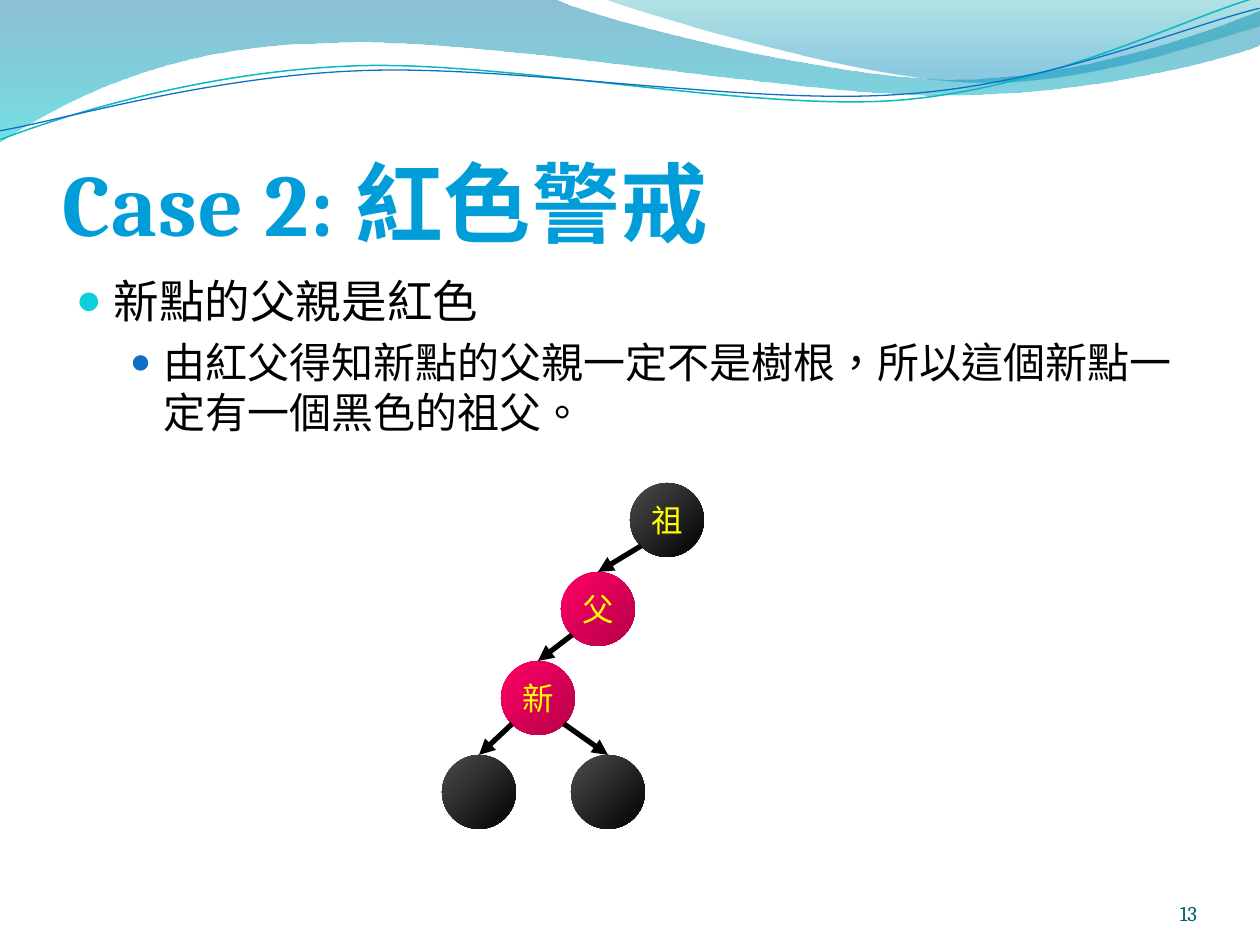
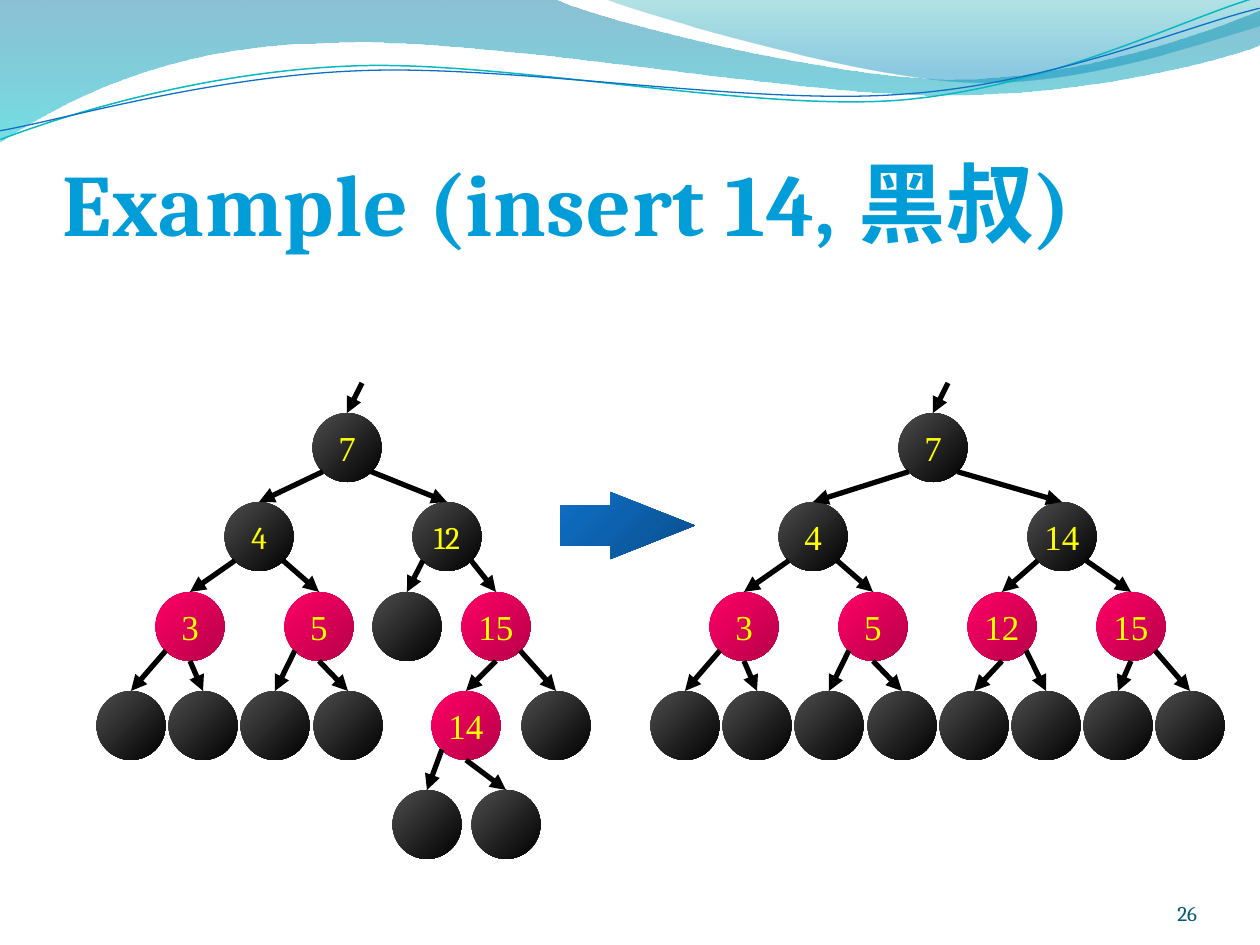
import lxml.etree
import pptx
import pptx.dml.color
import pptx.enum.shapes
import pptx.enum.text
import pptx.oxml.ns
import pptx.util

PX = 914400 / 126
SHAPES = pptx.enum.shapes.MSO_SHAPE
ALIGN = pptx.enum.text.PP_ALIGN
ANCHOR = pptx.enum.text.MSO_ANCHOR

# Shared look: gradients are two (position %, colour, colour changes in %) stops
HEAD_FONT, NODE_FONT = "Cambria", "Times New Roman"
DARKER = {"shade": 46.28}
BLACK_BALL = [(0, "4D4D4D", {}), (100, "000000", {})]
RED_BALL = [(0, "FF0066", {}), (100, "FF0066", DARKER)]
BLUE_ARROW = [(0, "0F6FC6", {}), (100, "0F6FC6", DARKER)]
TITLE_FILL = [(25, "009DD9", {}), (100, "006F99", {})]
TITLE = dict(name=HEAD_FONT, size=50, bold=True)
NUMBER = dict(name=HEAD_FONT, size=12, color="045D75")

# Waves: start point, then lines (2 numbers) or cubic curves (6 numbers)
BANDS = [
    ((0, 0), [(554, -1), (600, 21, 837, 79, 955, 79), (1075, 79, 1207, 33, 1260, 11),
              (1261, 45), (1239, 55, 1096, 96, 940, 95), (784, 95, 481, 35, 324, 43),
              (163, 45, 58, 105, -1, 142)],
     [(0, "0074A1", {"alpha": 45}), (100, "00C6CF", {"alpha": 55})]),
    ((604, -1), [(641, 14, 859, 78, 969, 82), (1079, 87, 1211, 40, 1260, 26), (1260, 0)],
     [(0, "00A1A9", {"alpha": 30}), (80, "008BBF", {"alpha": 45})]),
]
RIBBON_TURN = 357.3
RIBBONS = [
    ((-2, 110), [(58, 90, 199, 52, 350, 53), (499, 53, 745, 117, 896, 113),
                 (1049, 108, 1184, 45, 1260, 27)], "0AB8BF", 0.85),
    ((-2, 101), [(57, 94, 207, 57, 357, 58), (509, 58, 750, 112, 902, 107),
                 (1052, 104, 1188, 52, 1262, 38)], "0F6FC6", 0.75),
]

# Body lines: text, size, left margin, hanging indent, bullet colour, bullet size %, space before
CASE_LINES = [
    ("新點的父親是紅色", 26, 38, 38, "0BD0D9", 95, 0),
    ("由紅父得知新點的父親一定不是樹根，所以這個新點一定有一個黑色的祖父。",
     24, 88, 34, "0F6FC6", 85, 5),
]

# Tree nodes: label, centre x, row, parent index, side of the parent the arrow leaves
# (left, right or bottom), then a font where it differs
SMALL = dict(name=HEAD_FONT, size=18)
LEAF_PARENTS = [(3, "left"), (3, "bottom"), (4, "left"), (4, "bottom")]


def leaves(first_x, parents):
    return [("", first_x + round(72.2 * i), 3, *parent) for i, parent in enumerate(parents)]


CASE_TREE = dict(
    diameter=74, tops=[483, 572, 661, 755], red={"父", "新"}, size=18, entry=False,
    nodes=[("祖", 667, 0, None, None), ("父", 598, 1, 0, "left"), ("新", 538, 2, 1, "left"),
           ("", 479, 3, 2, "left"), ("", 608, 3, 2, "right")])
ROWS = [413, 502, 592, 691, 790]
BEFORE_TREE = dict(
    diameter=69, tops=ROWS, red={"3", "5", "14", "15"}, size=20, entry=True,
    nodes=[("7", 347, 0, None, None), ("4", 259, 1, 0, "left", SMALL),
           ("12", 447, 1, 0, "right", SMALL), ("3", 190, 2, 1, "left"),
           ("5", 319, 2, 1, "right"), ("", 407, 2, 2, "left"), ("15", 496, 2, 2, "right"),
           ("14", 466, 3, 6, "bottom"), ("", 556, 3, 6, "right"),
           ("", 427, 4, 7, "left"), ("", 506, 4, 7, "bottom"),
           *leaves(131, LEAF_PARENTS)])
AFTER_TREE = dict(
    diameter=69, tops=ROWS, red={"3", "5", "12", "15"}, size=20, entry=True,
    nodes=[("7", 933, 0, None, None), ("4", 813, 1, 0, "left"), ("14", 1062, 1, 0, "right"),
           ("3", 744, 2, 1, "left"), ("5", 873, 2, 1, "right"),
           ("12", 1002, 2, 2, "left"), ("15", 1131, 2, 2, "right"),
           *leaves(685, LEAF_PARENTS + [(5, "bottom"), (5, "right"),
                                        (6, "bottom"), (6, "right")])])

SLIDES = [
    dict(title="Case 2: 紅色警戒", number="13", lines=CASE_LINES, trees=[CASE_TREE]),
    dict(title="Example (insert 14, 黑叔)", number="26", trees=[BEFORE_TREE, AFTER_TREE],
         arrow=(560, 492, 135, 67)),
]


def emu(*lengths):
    return [pptx.util.Emu(round(length * PX)) for length in lengths]


def rgb(value):
    return pptx.dml.color.RGBColor.from_string(value)


def add_xml(parent, tag, **attributes):
    return lxml.etree.SubElement(parent, pptx.oxml.ns.qn(tag), attributes)


def set_font(font, **values):
    for key, value in values.items():
        if key == "color":
            font.color.rgb = rgb(value)
        else:
            setattr(font, key, pptx.util.Pt(value) if key == "size" else value)


def set_gradient(fill, owner, stops, angle):
    fill.gradient()
    fill.gradient_angle = 360 - angle
    for stop, (position, color, _) in zip(fill.gradient_stops, stops):
        stop.position = position / 100
        stop.color.rgb = rgb(color)
    colors = owner.iter(pptx.oxml.ns.qn("a:srgbClr"))
    for color, (_, _, changes) in zip(colors, stops):
        for change, percent in changes.items():
            add_xml(color, "a:" + change, val=str(round(percent * 1000)))


def fill_shape(shape, stops, angle):
    shape.shadow.inherit = False
    shape.line.fill.background()
    set_gradient(shape.fill, shape.element.spPr, stops, angle)


def add_wave(page, start, segments, close):
    """Draw every point as a line, then join each curve's three points into one curve."""
    points = [emu(*segment[i:i + 2]) for segment in segments
              for i in range(0, len(segment), 2)]
    builder = page.shapes.build_freeform(*emu(*start))
    builder.add_line_segments(points, close=close)
    wave = builder.convert_to_shape()
    wave.shadow.inherit = False
    lines = wave.element.spPr.iter(pptx.oxml.ns.qn("a:lnTo"))
    lines = iter(list(lines))
    for segment in segments:
        first = next(lines)
        if len(segment) == 6:
            first.tag = pptx.oxml.ns.qn("a:cubicBezTo")
            for line in (next(lines), next(lines)):
                first.append(line[0])
                line.getparent().remove(line)
    return wave


def add_waves(page):
    for start, segments, stops in BANDS:
        fill_shape(add_wave(page, start, segments, True), stops, 90)
    for start, segments, color, width in RIBBONS:
        ribbon = add_wave(page, start, segments, False)
        ribbon.rotation = RIBBON_TURN
        ribbon.fill.background()
        ribbon.line.color.rgb = rgb(color)
        ribbon.line.width = pptx.util.Pt(width)


def add_box(page, place, margins, anchor):
    frame = page.shapes.add_textbox(*emu(*place)).text_frame
    frame.word_wrap = True
    frame.vertical_anchor = anchor
    for side, margin in zip(("left", "top", "right", "bottom"), emu(*margins)):
        setattr(frame, "margin_" + side, margin)
    return frame


def write(para, text, **values):
    span = para.add_run()
    span.text = text
    set_font(span.font, **values)
    span.font._element.set("lang", "zh-TW")
    return span


def add_frame_texts(page, title, number):
    frame = add_box(page, (1092, 876, 105, 50), (0, 0, 0, 0), ANCHOR.BOTTOM)
    frame.paragraphs[0].alignment = ALIGN.RIGHT
    write(frame.paragraphs[0], number, **NUMBER)
    frame = add_box(page, (63, 97, 1134, 157), (0, 6, 0, 0), ANCHOR.BOTTOM)
    font = write(frame.paragraphs[0], title, **TITLE).font
    font._element.set("spc", "50")
    set_gradient(font.fill, font._element, TITLE_FILL, 90)


def add_body(page, lines):
    frame = add_box(page, (63, 267, 1134, 605), (13, 6, 13, 6), ANCHOR.TOP)
    for index, (text, size, left, hang, color, percent, before) in enumerate(lines):
        para = frame.add_paragraph() if index else frame.paragraphs[0]
        properties = para._p.get_or_add_pPr()
        margin, indent = emu(left, -hang)
        properties.set("marL", str(margin))
        properties.set("indent", str(indent))
        properties.set("lvl", str(index))
        add_xml(add_xml(properties, "a:buClr"), "a:srgbClr", val=color)
        add_xml(properties, "a:buSzPct", val=str(percent * 1000))
        add_xml(properties, "a:buFont", typeface=NODE_FONT)
        add_xml(properties, "a:buChar", char="●")
        para.space_before = pptx.util.Pt(before)
        write(para, text, name=HEAD_FONT, size=size, color="000000")


def add_arrow(page, start, end):
    arrow = page.shapes.add_connector(
        pptx.enum.shapes.MSO_CONNECTOR.STRAIGHT, *emu(*start, *end))
    arrow.line.color.rgb = rgb("000000")
    arrow.line.width = pptx.util.Pt(3)
    add_xml(arrow.line._get_or_add_ln(), "a:tailEnd", type="triangle")
    add_xml(arrow.element.spPr, "a:effectLst")


def add_tree(page, diameter, tops, red, size, entry, nodes):
    # Arrows leave a circle at its bottom or 45° to either side
    leave = {"left": (-0.35, 0.85), "right": (0.35, 0.85), "bottom": (0, 1)}
    for label, x, row, parent, side, *special in nodes:
        top = tops[row]
        ball = page.shapes.add_shape(
            SHAPES.OVAL, *emu(x - diameter / 2, top, diameter, diameter))
        fill_shape(ball, RED_BALL if label in red else BLACK_BALL, 45)
        if label:
            frame = ball.text_frame
            frame.word_wrap = False
            frame.vertical_anchor = ANCHOR.MIDDLE
            frame.paragraphs[0].alignment = ALIGN.CENTER
            style = special[0] if special else dict(name=NODE_FONT, size=size)
            write(frame.paragraphs[0], label, color="FFFF00", **style)
        if parent is not None:
            dx, dy = leave[side]
            start = (nodes[parent][1] + dx * diameter, tops[nodes[parent][2]] + dy * diameter)
            add_arrow(page, start, (x, top))
        elif entry:
            add_arrow(page, (x + 15, top - 30), (x, top))


def main():
    deck = pptx.Presentation()
    deck.slide_width, deck.slide_height = emu(1260, 945)
    for content in SLIDES:
        page = deck.slides.add_slide(deck.slide_layouts[6])
        add_waves(page)
        add_frame_texts(page, content["title"], content["number"])
        if "lines" in content:
            add_body(page, content["lines"])
        for tree in content["trees"]:
            add_tree(page, **tree)
        if "arrow" in content:
            arrow = page.shapes.add_shape(SHAPES.RIGHT_ARROW, *emu(*content["arrow"]))
            arrow.adjustments[0], arrow.adjustments[1] = 0.61, 1.26
            fill_shape(arrow, BLUE_ARROW, 45)
    deck.save("out.pptx")


if __name__ == "__main__":
    main()
